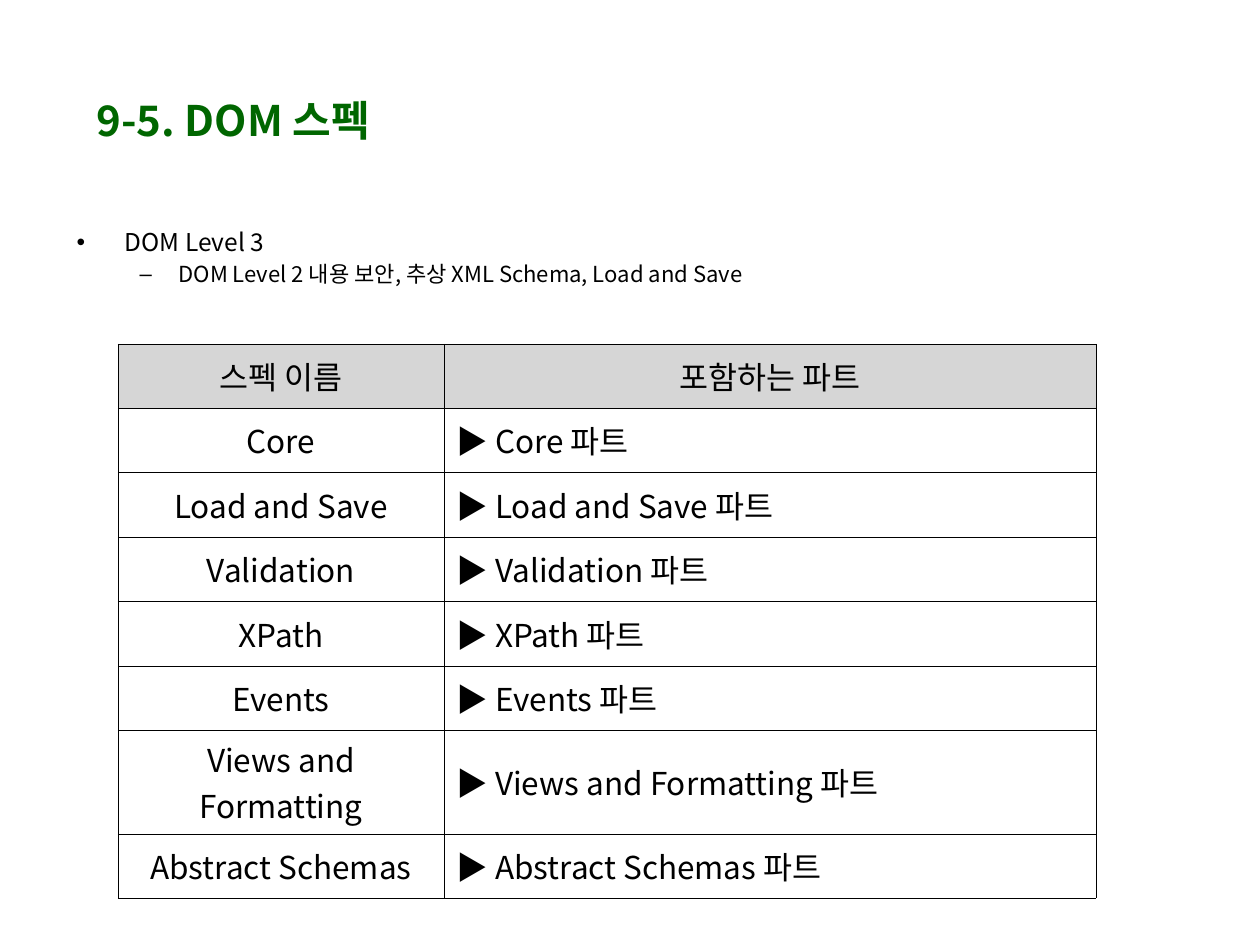
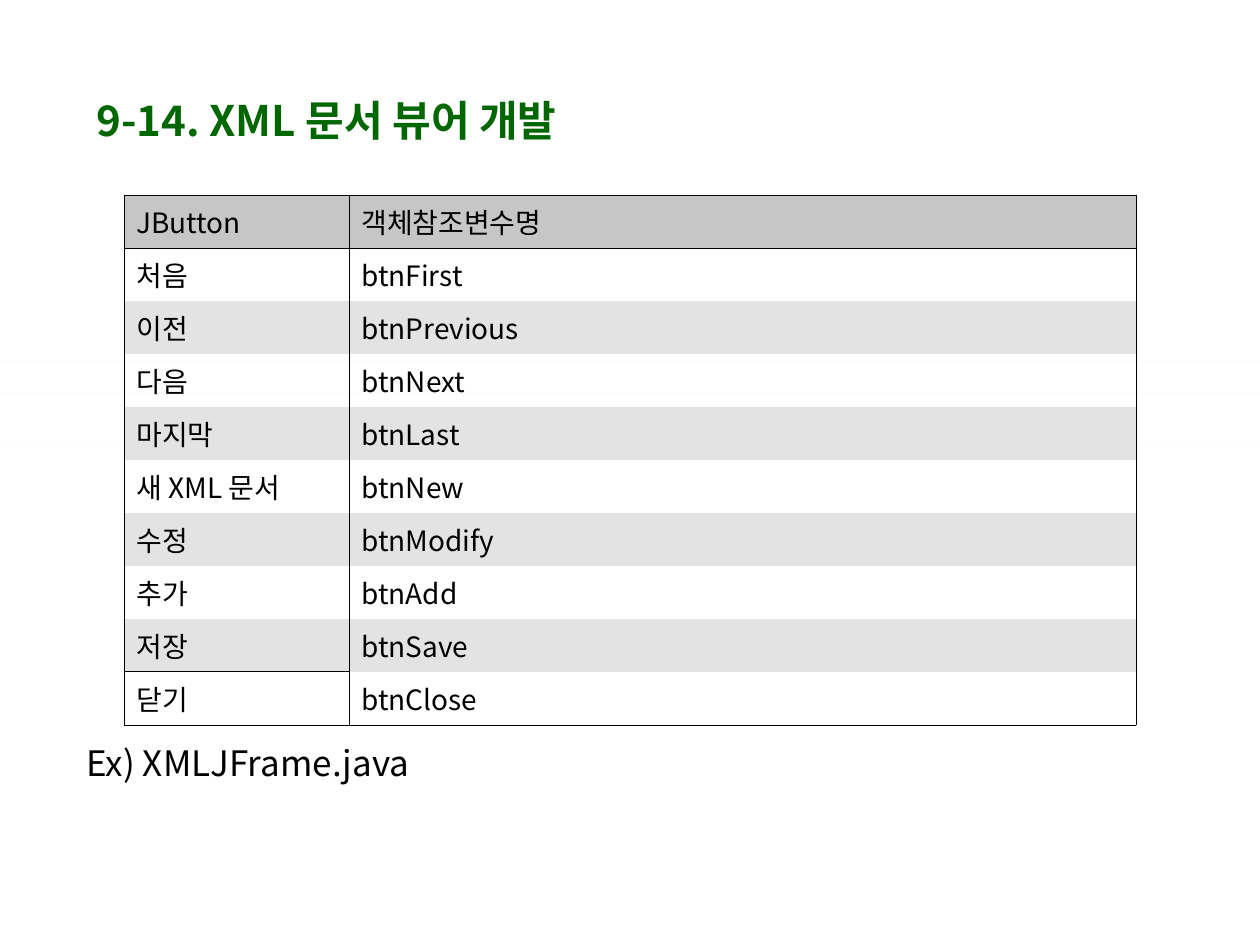
from pptx import Presentation
from pptx.dml.color import RGBColor
from pptx.enum.shapes import MSO_SHAPE
from pptx.enum.text import MSO_ANCHOR, MSO_AUTO_SIZE, PP_ALIGN
from pptx.oxml.ns import qn
from pptx.util import Emu, Pt
from lxml.etree import SubElement

FONT = "Noto Sans CJK KR"
BLACK, WHITE, GREEN = "000000", "FFFFFF", "006600"
HEADER_GREY, HEADER_DARK, BAND_GREY, LINE_GREY = "D6D6D6", "C6C6C6", "E3E3E3", "E6E6E6"
LINE_SPACING = 0.88
HAIRLINE = 0.06
SIDES = {"left": "a:lnL", "right": "a:lnR", "top": "a:lnT", "bottom": "a:lnB"}

SPEC_PARTS = ["Core", "Load and Save", "Validation", "XPath", "Events",
              "Views and Formatting", "Abstract Schemas"]
SPEC_ROW_HEIGHTS = [64, 64, 65, 64, 65, 64, 88, 64]
BUTTONS = [("JButton", "객체참조변수명"), ("처음", "btnFirst"), ("이전", "btnPrevious"),
           ("다음", "btnNext"), ("마지막", "btnLast"), ("새 XML 문서", "btnNew"),
           ("수정", "btnModify"), ("추가", "btnAdd"), ("저장", "btnSave"),
           ("닫기", "btnClose")]


def px(length):
    return Emu(round(length * 914400 / 126))


def color(value):
    return RGBColor.from_string(value)


def place(shape, box):
    shape.left, shape.top, shape.width, shape.height = map(px, box)


def write(para, text, size, ink=BLACK, bold=False, align=PP_ALIGN.LEFT):
    para.alignment = align
    span = para.add_run()
    span.text = text
    span.font.size = Pt(size)
    span.font.name = FONT
    span.font.bold = bold
    span.font.color.rgb = color(ink)
    SubElement(span.font._element, qn("a:ea")).set("typeface", FONT)


def prepare_frame(shape, anchor):
    frame = shape.text_frame
    frame.word_wrap = True
    frame.auto_size = MSO_AUTO_SIZE.NONE
    frame.vertical_anchor = anchor
    return frame


def add_page(deck, layout, title, title_width):
    page = deck.slides.add_slide(deck.slide_layouts[layout])
    place(page.shapes.title, (84, 76, title_width, 87))
    frame = prepare_frame(page.shapes.title, MSO_ANCHOR.MIDDLE)
    write(frame.paragraphs[0], title, 24, GREEN, True)
    return page


def fill_bullets(page, box, items):
    body = page.placeholders[1]
    place(body, box)
    frame = prepare_frame(body, MSO_ANCHOR.TOP)
    for index, (level, text, size, mark, margin, indent) in enumerate(items):
        para = frame.add_paragraph() if index else frame.paragraphs[0]
        para.level = level
        para.line_spacing = LINE_SPACING
        para.space_before = Pt(4.5 if index else 0)
        properties = para._p.get_or_add_pPr()
        properties.set("marL", str(px(margin)))
        properties.set("indent", str(px(-indent)))
        SubElement(properties, qn("a:buChar")).set("char", mark)
        write(para, text, size)


def set_borders(cell, widths):
    properties = cell._tc.get_or_add_tcPr()
    for index, (side, tag) in enumerate(SIDES.items()):
        line = properties.makeelement(qn(tag), {})
        properties.insert(index, line)
        if side in widths:
            line.set("w", str(Pt(widths[side])))
            fill = SubElement(line, qn("a:solidFill"))
            SubElement(fill, qn("a:srgbClr")).set("val", BLACK)
        else:
            line.set("w", "0")
            SubElement(line, qn("a:noFill"))


def add_grid(page, left, top, widths, heights, rows, size, style):
    frame = page.shapes.add_table(len(rows), len(widths), px(left), px(top),
                                  px(sum(widths)), px(sum(heights)))
    table = frame.table
    table.first_row = table.horz_banding = False
    for column, width in zip(table.columns, widths):
        column.width = px(width)
    for row, height in zip(table.rows, heights):
        row.height = px(height)
    for row_index, texts in enumerate(rows):
        for column_index, text in enumerate(texts):
            cell = table.cell(row_index, column_index)
            fill, borders, align = style(row_index, column_index)
            cell.vertical_anchor = MSO_ANCHOR.MIDDLE
            write(cell.text_frame.paragraphs[0], text, size, align=align)
            if fill:
                cell.fill.solid()
                cell.fill.fore_color.rgb = color(fill)
            else:
                cell.fill.background()
            set_borders(cell, borders)


def spec_style(row, column):
    centred = row == 0 or column == 0
    return (None if row else HEADER_GREY, dict.fromkeys(SIDES, HAIRLINE),
            PP_ALIGN.CENTER if centred else PP_ALIGN.LEFT)


def button_style(row, column):
    last = len(BUTTONS) - 1
    borders = {"left": HAIRLINE, "right": HAIRLINE}
    if row in (0, 1):
        borders["top"] = HAIRLINE
    if row in (0, last):
        borders["bottom"] = HAIRLINE
    if column == 0 and row == last - 1:
        borders["bottom"] = 0.45
    if column == 0 and row == last:
        borders["top"] = 0.45
    if row == 0:
        fill = HEADER_DARK
    elif row % 2 == 0:
        fill = BAND_GREY
    else:
        fill = WHITE if row > 4 else None
    return fill, borders, PP_ALIGN.LEFT


def add_faint_lines(page, tops):
    for top in tops:
        line = page.shapes.add_shape(MSO_SHAPE.RECTANGLE, 0, px(top), px(1260), 0)
        line.shadow.inherit = False
        line.fill.solid()
        line.fill.fore_color.rgb = color(LINE_GREY)
        line.line.fill.background()


def add_example(page, box, text):
    frame = prepare_frame(page.shapes.add_textbox(*map(px, box)), MSO_ANCHOR.TOP)
    para = frame.paragraphs[0]
    para.line_spacing = LINE_SPACING
    write(para, text, 20)


def build_spec_page(deck):
    page = add_page(deck, 1, "9-5. DOM 스펙", 755)
    fill_bullets(page, (64, 224, 1134, 79), [
        (0, "DOM Level 3", 14, "•", 48, 48),
        (1, "DOM Level 2 내용 보안, 추상 XML Schema, Load and Save", 12.6, "–", 102, 39),
    ])
    rows = [("스펙 이름", "포함하는 파트")]
    rows += [(part, f"▶ {part} 파트") for part in SPEC_PARTS]
    add_grid(page, 118, 344, [326, 652], SPEC_ROW_HEIGHTS, rows, 18, spec_style)


def build_viewer_page(deck):
    page = add_page(deck, 5, "9-14. XML 문서 뷰어 개발", 873)
    add_faint_lines(page, [361, 393, 444])
    add_grid(page, 124, 195, [225, 787], [46] * len(BUTTONS), BUTTONS, 16, button_style)
    add_example(page, (74, 741, 466, 69), "Ex) XMLJFrame.java")


def main():
    deck = Presentation()
    deck.slide_width, deck.slide_height = px(1260), px(945)
    build_spec_page(deck)
    build_viewer_page(deck)
    deck.save("out.pptx")


if __name__ == "__main__":
    main()
